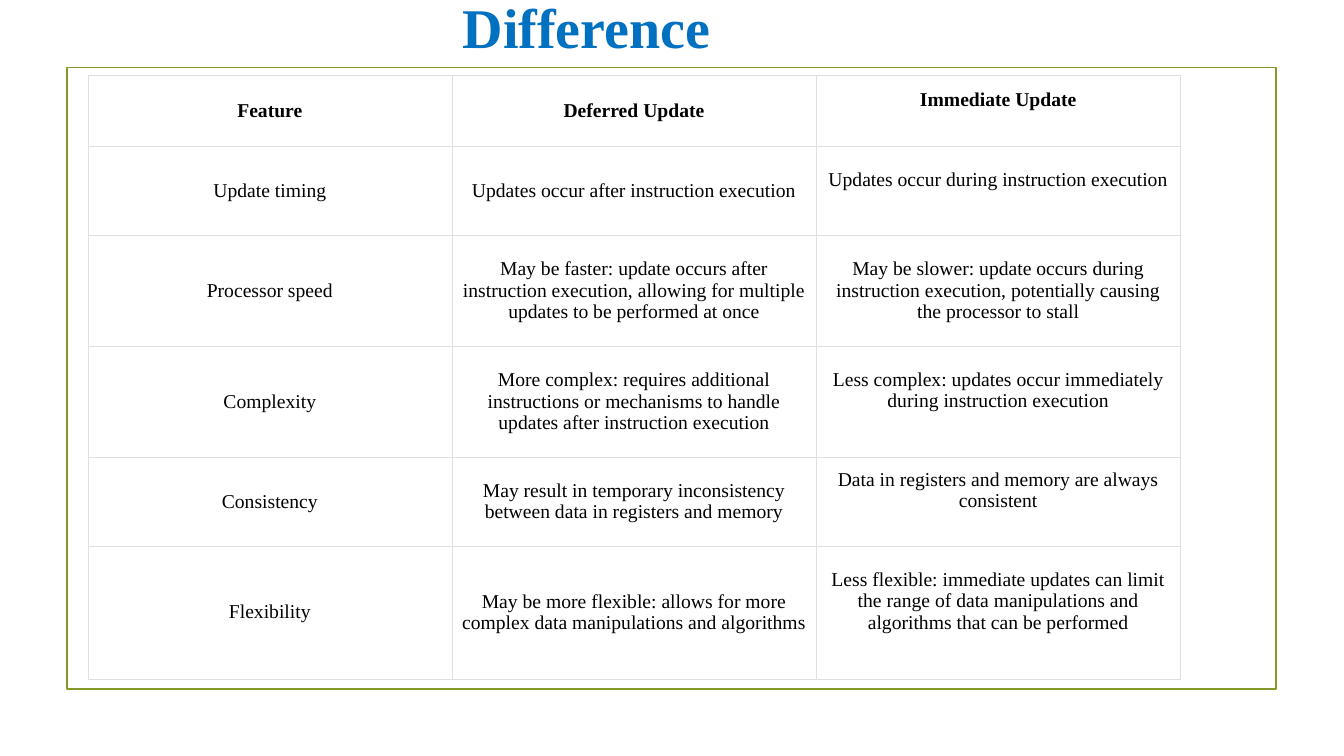
"""Build a slide comparing deferred and immediate update in a table."""
from dataclasses import dataclass

from lxml.etree import SubElement
from pptx import Presentation
from pptx.dml.color import RGBColor
from pptx.enum.shapes import MSO_SHAPE
from pptx.enum.text import MSO_ANCHOR, MSO_AUTO_SIZE, PP_ALIGN
from pptx.oxml.ns import qn
from pptx.util import Inches, Pt


@dataclass(frozen=True)
class Theme:
    font: str = "Times New Roman"
    title_size: int = 40
    table_size: int = 14
    title: str = "0070C0"
    text: str = "000000"
    paper: str = "FFFFFF"
    frame: str = "83992A"
    border: str = "DFDFDF"
    frame_width: float = 1.25
    border_width: float = 0.23


HEADERS = ("Feature", "Deferred Update", "Immediate Update")
FEATURES = (
    ("Update timing",
     "Updates occur after instruction execution",
     "Updates occur during instruction execution"),
    ("Processor speed",
     "May be faster: update occurs after instruction execution, "
     "allowing for multiple updates to be performed at once",
     "May be slower: update occurs during instruction execution, "
     "potentially causing the processor to stall"),
    ("Complexity",
     "More complex: requires additional instructions or mechanisms "
     "to handle updates after instruction execution",
     "Less complex: updates occur immediately during instruction execution"),
    ("Consistency",
     "May result in temporary inconsistency between data in registers and memory",
     "Data in registers and memory are always consistent"),
    ("Flexibility",
     "May be more flexible: allows for more complex data manipulations and algorithms",
     "Less flexible: immediate updates can limit the range of data "
     "manipulations and algorithms that can be performed"),
)
ROW_UNITS = (3.2, 4, 5, 5, 4, 6)
LEVEL_ROW = 2


def write(text_frame, text, *, font, size, color, bold=False, align=None):
    para = text_frame.paragraphs[0]
    para.alignment = align
    span = para.add_run()
    span.text = text
    span.font.name = font
    span.font.size = Pt(size)
    span.font.bold = bold
    span.font.color.rgb = RGBColor.from_string(color)


class SlideBuilder:
    def __init__(self, deck, theme):
        self.deck = deck
        self.theme = theme
        self.slide = deck.slides.add_slide(deck.slide_layouts[6])

    def area(self, left, top, width, height):
        across, down = self.deck.slide_width, self.deck.slide_height
        return [round(share * side / 100) for share, side in
                zip((left, top, width, height), (across, down, across, down))]

    def frame(self, *shares):
        box = self.slide.shapes.add_shape(MSO_SHAPE.RECTANGLE, *self.area(*shares))
        box.shadow.inherit = False
        box.fill.background()
        box.line.color.rgb = RGBColor.from_string(self.theme.frame)
        box.line.width = Pt(self.theme.frame_width)

    def title(self, text, *shares):
        box = self.slide.shapes.add_textbox(*self.area(*shares))
        box.text_frame.word_wrap = True
        box.text_frame.auto_size = MSO_AUTO_SIZE.SHAPE_TO_FIT_TEXT
        write(box.text_frame, text, font=self.theme.font,
              size=self.theme.title_size, color=self.theme.title, bold=True)

    def table(self, rows, row_units, *shares):
        left, top, width, height = self.area(*shares)
        columns = len(rows[0])
        table = self.slide.shapes.add_table(
            len(rows), columns, left, top, width, height).table
        for column in table.columns:
            column.width = round(width / columns)
        for row, units in zip(table.rows, row_units):
            row.height = round(height * units / sum(row_units))
        for row_index, texts in enumerate(rows):
            for column_index, text in enumerate(texts):
                raised = column_index == columns - 1 and row_index != LEVEL_ROW
                self.cell(table.cell(row_index, column_index), text,
                          bold=row_index == 0, raised=raised)

    def cell(self, cell, text, bold, raised):
        cell.fill.solid()
        cell.fill.fore_color.rgb = RGBColor.from_string(self.theme.paper)
        cell.vertical_anchor = MSO_ANCHOR.MIDDLE
        cell.margin_left = cell.margin_right = Inches(0.07)
        cell.margin_top = Inches(0.1)
        cell.margin_bottom = Inches(0.32 if raised else 0.1)
        write(cell.text_frame, text, font=self.theme.font,
              size=self.theme.table_size, color=self.theme.text,
              bold=bold, align=PP_ALIGN.CENTER)
        self.borders(cell)

    def borders(self, cell):
        properties = cell._tc.get_or_add_tcPr()
        for index, side in enumerate(("a:lnL", "a:lnR", "a:lnT", "a:lnB")):
            line = SubElement(properties, qn(side), w=str(Pt(self.theme.border_width)))
            fill = SubElement(line, qn("a:solidFill"))
            SubElement(fill, qn("a:srgbClr"), val=self.theme.border)
            properties.insert(index, line)


def main():
    deck = Presentation()
    deck.slide_width, deck.slide_height = Inches(13.33), Inches(7.5)
    page = SlideBuilder(deck, Theme())
    page.frame(4.97, 8.93, 90, 82.27)
    page.table((HEADERS, *FEATURES), ROW_UNITS, 6.53, 10, 81.3, 79.8)
    page.title("Difference", 33.7, -1.6, 42, 10.27)
    deck.save("out.pptx")


if __name__ == "__main__":
    main()
